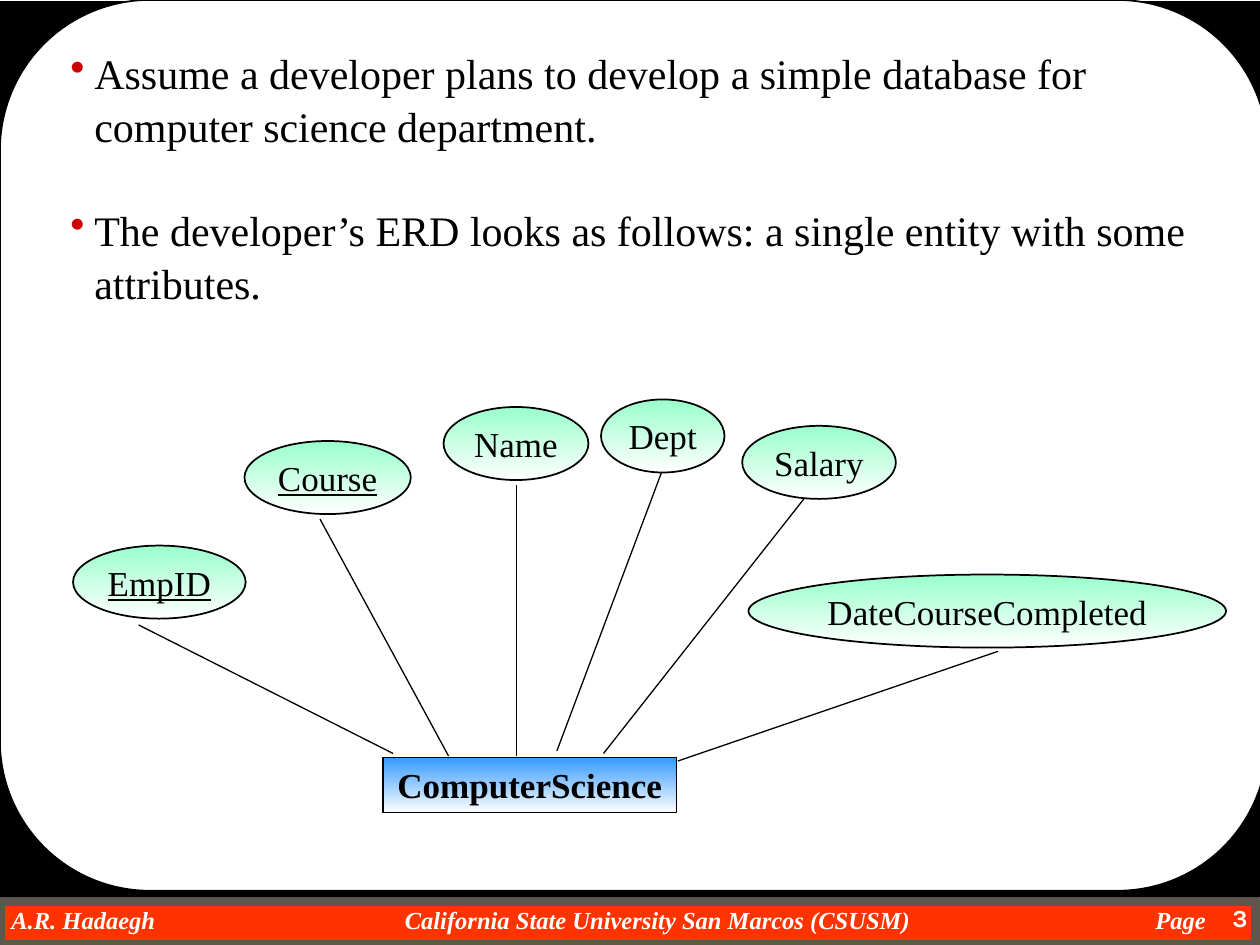
import pptx
import pptx.dml.color
import pptx.enum.shapes
import pptx.enum.text
import pptx.oxml.ns
import pptx.util
from lxml import etree

Inches, Pt = pptx.util.Inches, pptx.util.Pt
SHAPE = pptx.enum.shapes.MSO_SHAPE
ALIGN = pptx.enum.text.PP_ALIGN
qn = pptx.oxml.ns.qn


def rgb(hex_color):
    return pptx.dml.color.RGBColor.from_string(hex_color)


def write(p, text, size=20, font="Times New Roman", color="000000",
          bold=False, italic=False, underline=False, align=ALIGN.LEFT):
    p.alignment = align
    r = p.add_run()
    r.text = text
    f = r.font
    f.size, f.name, f.color.rgb = Pt(size), font, rgb(color)
    f.bold, f.italic, f.underline = bold, italic, underline


def add_bullet(p, indent, color):
    pPr = p._p.get_or_add_pPr()
    pPr.set("marL", str(Inches(indent)))
    pPr.set("indent", str(-Inches(indent)))
    bu_color = etree.SubElement(pPr, qn("a:buClr"))
    etree.SubElement(bu_color, qn("a:srgbClr"), val=color)
    etree.SubElement(pPr, qn("a:buChar"), char="•")


def add_tabs(p, stops):
    tabs = etree.SubElement(p._p.get_or_add_pPr(), qn("a:tabLst"))
    for pos, align in stops:
        etree.SubElement(tabs, qn("a:tab"), pos=str(Inches(pos)), algn=align)


class Deck:
    INK = "000000"

    def __init__(self, prs):
        self.slide = prs.slides.add_slide(prs.slide_layouts[6])

    def shape(self, kind, box, fill, line=None, width=1):
        """Fill is one colour, or a pair for a top-to-bottom gradient."""
        sp = self.slide.shapes.add_shape(kind, *map(Inches, box))
        sp.shadow.inherit = False
        if isinstance(fill, tuple):
            sp.fill.gradient()
            sp.fill.gradient_angle = 270
            for stop, color in zip(sp.fill.gradient_stops, fill):
                stop.color.rgb = rgb(color)
        else:
            sp.fill.solid()
            sp.fill.fore_color.rgb = rgb(fill)
        if line:
            sp.line.color.rgb = rgb(line)
            sp.line.width = Pt(width)
        else:
            sp.line.fill.background()
        return sp

    def node(self, kind, box, text, top_color, width=1, **style):
        sp = self.shape(kind, box, (top_color, "FFFFFF"), self.INK, width)
        tf = sp.text_frame
        tf.word_wrap = False
        tf.vertical_anchor = pptx.enum.text.MSO_ANCHOR.MIDDLE
        write(tf.paragraphs[0], text, align=ALIGN.CENTER, **style)

    def text_box(self, box):
        tf = self.slide.shapes.add_textbox(*map(Inches, box)).text_frame
        tf.word_wrap = True
        return tf

    def bullets(self, box, texts):
        tf = self.text_box(box)
        for i, text in enumerate(texts):
            p = tf.add_paragraph() if i else tf.paragraphs[0]
            add_bullet(p, 0.19, "CC0000")
            p.line_spacing = 1.05
            if i:
                p.space_before = Pt(29)
            write(p, text, size=24)

    def link(self, start, end):
        cx = self.slide.shapes.add_connector(
            pptx.enum.shapes.MSO_CONNECTOR.STRAIGHT, *map(Inches, start + end))
        cx.line.color.rgb = rgb(self.INK)
        cx.line.width = Pt(0.75)
        etree.SubElement(cx._element.spPr, qn("a:effectLst"))

    def frame(self, page):
        self.shape(SHAPE.RECTANGLE, (0, 7.15, 9.97, 0.35), "FF3300", "5E574E", 6)
        tf = self.text_box((0, 7.18, 9.68, 0.23))
        tf.margin_left = Inches(0.09)
        tf.margin_top = tf.margin_right = tf.margin_bottom = 0
        p = tf.paragraphs[0]
        add_tabs(p, [(5.13, "ctr"), (9.48, "r")])
        write(p, "A.R. Hadaegh\tCalifornia State University San Marcos (CSUSM)\tPage",
              size=14, color="FFFFFF", bold=True, italic=True)
        self.shape(SHAPE.RECTANGLE, (0, 0.01, 10, 7.11), self.INK)
        panel = self.shape(SHAPE.ROUNDED_RECTANGLE, (0, 0, 10.06, 7.07),
                           "FFFFFF", self.INK)
        panel.adjustments[0] = 1.19 / 7.07
        tf = self.text_box((9.25, 7.12, 0.75, 0.38))
        write(tf.paragraphs[0], page, size=14, font="Karla", color="FFFFFF",
              bold=True, align=ALIGN.RIGHT)


# name, left, top, width, is key, line start, line end
ATTRIBUTES = [
    ("EmpID", 0.58, 4.33, 1.37, True, (1.1, 4.96), (3.12, 5.98)),
    ("Course", 1.94, 3.5, 1.32, True, (2.54, 4.12), (3.56, 6)),
    ("Name", 3.52, 3.23, 1.15, False, (4.1, 3.85), (4.1, 6)),
    ("Dept", 4.77, 3.17, 0.98, False, (5.25, 3.75), (4.42, 5.96)),
    ("Salary", 5.89, 3.38, 1.22, False, (6.38, 3.96), (4.79, 5.98)),
    ("DateCourseCompleted", 5.94, 4.56, 3.79, False, (7.92, 5.17), (5.38, 6.04)),
]


def main():
    prs = pptx.Presentation()
    prs.slide_width, prs.slide_height = Inches(10), Inches(7.5)
    deck = Deck(prs)
    deck.frame("3")
    deck.bullets((0.46, 0.31, 9.18, 2.1), [
        "Assume a developer plans to develop a simple database for "
        "computer science department.",
        "The developer’s ERD looks as follows: a single entity with some attributes.",
    ])
    deck.node(SHAPE.RECTANGLE, (3.04, 6.01, 2.33, 0.44), "ComputerScience",
              "3399FF", width=0.75, bold=True)
    for name, left, top, width, is_key, start, end in ATTRIBUTES:
        deck.node(SHAPE.OVAL, (left, top, width, 0.58), name, "99FFCC",
                  underline=is_key)
        deck.link(start, end)
    prs.save("out.pptx")


if __name__ == "__main__":
    main()
